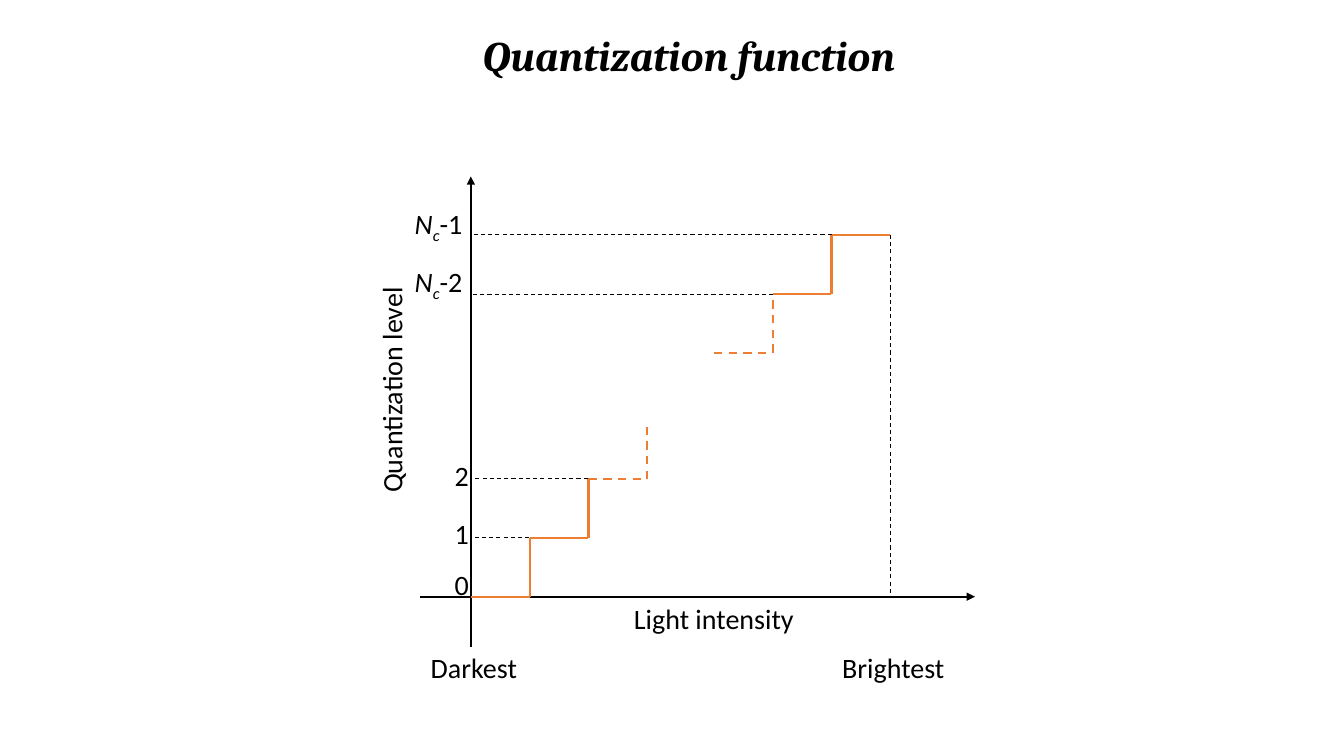
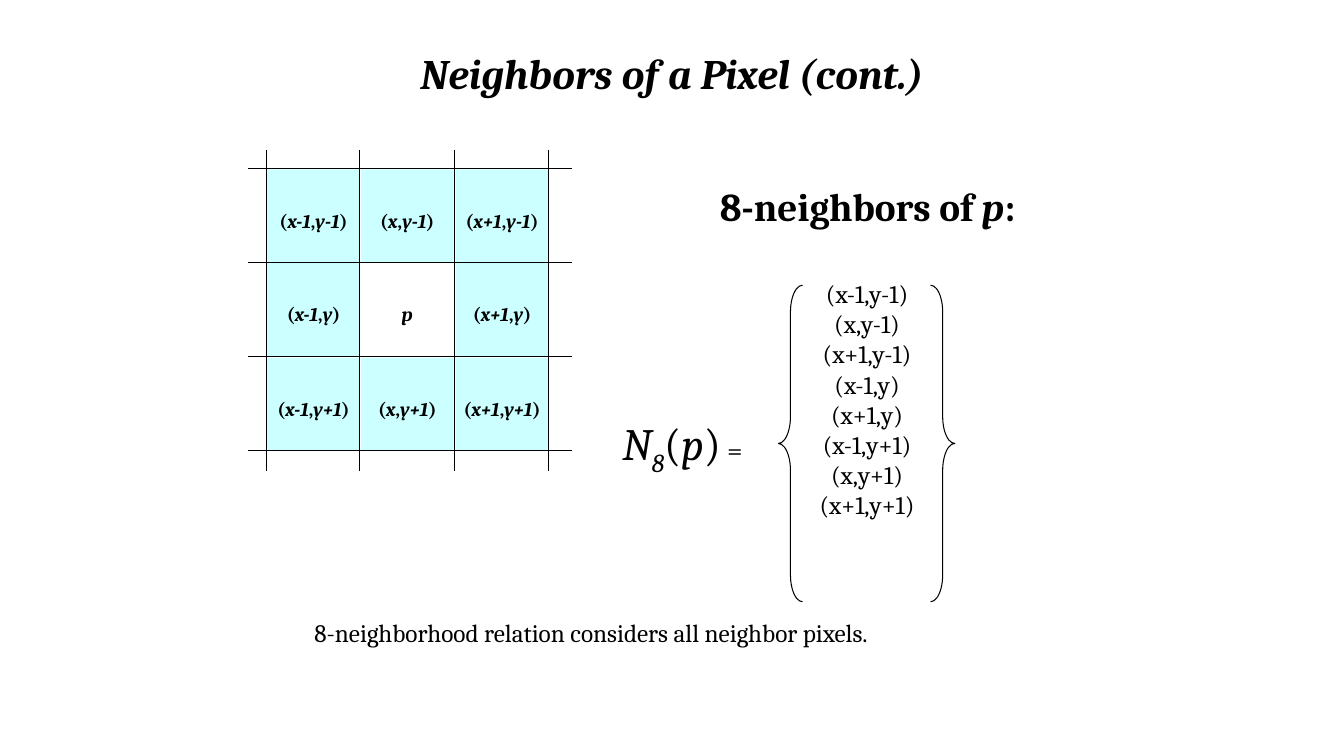
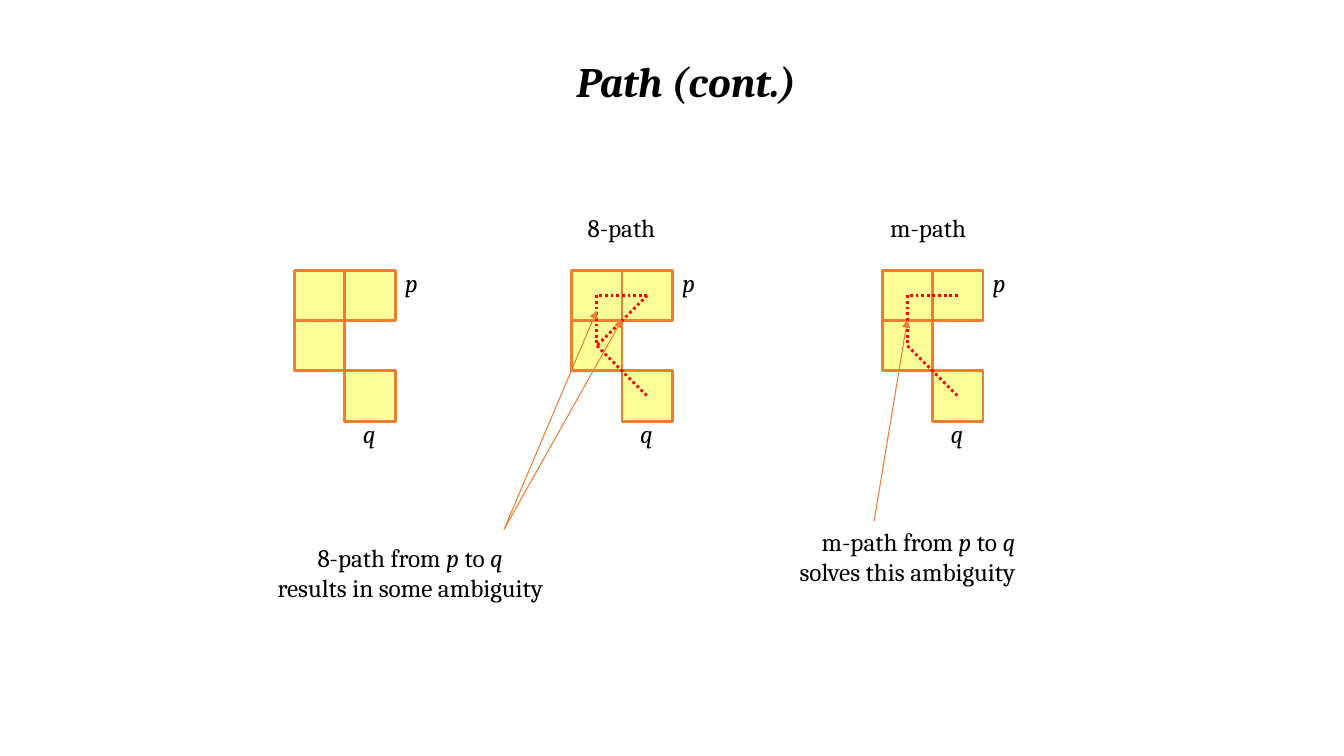
from itertools import pairwise, product

from pptx import Presentation
from pptx import util as u
from pptx.dml.color import RGBColor
from pptx.enum import dml, shapes, text
from pptx.oxml.ns import qn
from lxml import etree

PX = 9144  # one px is a hundredth of an inch
BLACK = RGBColor(0x00, 0x00, 0x00)
ORANGE = RGBColor(0xED, 0x7D, 0x31)
RED = RGBColor(0xFF, 0x00, 0x00)
CYAN = RGBColor(0xCC, 0xFF, 0xFF)
YELLOW = RGBColor(0xFF, 0xFF, 0x99)
LEFT, CENTER, RIGHT = text.PP_ALIGN.LEFT, text.PP_ALIGN.CENTER, text.PP_ALIGN.RIGHT
DASH, DOT = dml.MSO_LINE.DASH, dml.MSO_LINE.ROUND_DOT
RECT = shapes.MSO_SHAPE.RECTANGLE
BRACES = shapes.MSO_SHAPE.LEFT_BRACE, shapes.MSO_SHAPE.RIGHT_BRACE

# Content: text is marked *italic* and _subscript_; boxes are left, top, width, height
TITLES = [
    ("Quantization function", (469, 24, 436, 61)),
    ("Neighbors of a Pixel (cont.)", (407, 42, 528, 61)),
    ("Path (cont.)", (562, 50, 243, 61)),
]

AXES = [((417, 592), (967, 592)), ((467, 642), (467, 175))]
STEP = 175 / 3
STAIRS = [  # start corner, dash of each run and rise in turn
    ((467, 592), [None] * 4 + [DASH] * 2),
    ((708, 350), [DASH] * 2 + [None] * 3),
]
GUIDES = [
    ((825, 233), (467, 233)), ((767, 292), (467, 292)),
    ((583, 475), (467, 475)), ((525, 533), (467, 533)),
    ((883, 233), (883, 592)),
]
PLOT_LABELS = [
    ("Light intensity", (617, 592, 182, 43), 0),
    ("Quantization level", (275, 365, 227, 44), 270),
    ("0", (441, 558, 34, 44), 0),
    ("1", (441, 508, 34, 44), 0),
    ("2", (441, 450, 34, 44), 0),
    ("*N_c_*-1", (400, 200, 70, 43), 0),
    ("*N_c_*-2", (400, 257, 70, 43), 0),
    ("Darkest", (417, 640, 106, 43), 0),
    ("Brightest", (825, 640, 122, 43), 0),
]

GRID_LEFT, GRID_TOP, GRID_SIZE, CELL = 264, 167, 280, 92
LABEL_WIDTH = 112
OFFSETS = (-1, 0, 1)

TILE = 50
TILES = [(0, 0), (1, 0), (0, 1), (1, 2)]
ROUTE = [(1, 0), (0, 0), (0, 1), (1, 2)]
SHORTCUT = [(1, 0), (0, 1)]
FIGURES = [(292, []), (567, [ROUTE, SHORTCUT]), (875, [ROUTE])]
FIGURE_TOP = 268
PATH_LABELS = [
    (["8-path"], (573, 206, 91, 40), LEFT),
    (["m-path"], (873, 206, 98, 40), LEFT),
    (["8-path from *p* to *q*", "results in some ambiguity"], (257, 533, 300, 71), CENTER),
    (["m-path from *p* to *q*", "solves this ambiguity"], (767, 517, 250, 71), RIGHT),
]
POINTERS = [((500, 525), (617, 317)), ((500, 525), (592, 308)), ((867, 517), (900, 317))]


def emu(values):
    return [round(v * PX) for v in values]


def add_text(s, paragraphs, box, size=18, font="Cambria", align=LEFT, bold=False, italic=False):
    sp = s.shapes.add_textbox(*emu(box))
    tf = sp.text_frame
    tf.word_wrap = False
    tf.auto_size = text.MSO_AUTO_SIZE.SHAPE_TO_FIT_TEXT
    for n, line in enumerate(paragraphs):
        p = tf.paragraphs[0] if n == 0 else tf.add_paragraph()
        p.alignment = align
        for i, part in enumerate(line.split("*")):
            for j, piece in enumerate(part.split("_")):
                if not piece:
                    continue
                r = p.add_run()
                r.text = piece
                style = {"name": font, "size": u.Pt(size), "bold": bold,
                         "italic": italic or i % 2 == 1}
                for key, value in style.items():
                    setattr(r.font, key, value)
                r.font.color.rgb = BLACK
                if j % 2:
                    r.font._element.set("baseline", "-25000")
    return sp


def add_line(s, start, end, color=BLACK, width=0.75, dash=None, arrow=False):
    line = s.shapes.add_connector(shapes.MSO_CONNECTOR.STRAIGHT, *emu(start + end))
    line.line.color.rgb = color
    line.line.width = u.Pt(width)
    if dash:
        line.line.dash_style = dash
    if arrow:
        etree.SubElement(line.line._get_or_add_ln(), qn("a:tailEnd"), type="triangle")
    etree.SubElement(line._element.spPr, qn("a:effectLst"))


def add_shape(s, kind, box, fill=None, line=None, width=0.75):
    sp = s.shapes.add_shape(kind, *emu(box))
    sp.shadow.inherit = False
    for part, color in ((sp.fill, fill), (sp.line.fill, line)):
        if color is None:
            part.background()
        else:
            part.solid()
            part.fore_color.rgb = color
    if line is not None:
        sp.line.width = u.Pt(width)
    return sp


def quantization(s):
    for start, end in AXES:
        add_line(s, start, end, width=1.5, arrow=True)
    for (x, y), dashes in STAIRS:
        for n, dash in enumerate(dashes):
            end = (x + STEP, y) if n % 2 == 0 else (x, y - STEP)
            add_line(s, (x, y), end, ORANGE, 1.5, dash)
            x, y = end
    for label, box, turn in PLOT_LABELS:
        add_text(s, [label], box, 20, "Calibri", CENTER).rotation = turn
    for start, end in GUIDES:
        add_line(s, start, end, dash=DASH)


def neighbors(s):
    def coordinate(axis, offset):
        return f"{axis}{offset:+d}" if offset else axis

    # Pixel grid
    plain = []
    ticks = [round(GRID_SIZE * n / 3) for n in range(4)]
    for (row, dy), (col, dx) in product(enumerate(OFFSETS), repeat=2):
        left, top = GRID_LEFT + ticks[col] + 1, GRID_TOP + ticks[row] + 1
        label = "*p*"
        if dx or dy:
            x, y = coordinate("x", dx), coordinate("y", dy)
            plain.append(f"({x},{y})")
            label = f"(*{x}*,*{y}*)"
            add_shape(s, RECT, (left, top, CELL, CELL), CYAN)
        box = (left + (CELL - LABEL_WIDTH) / 2, top + 34, LABEL_WIDTH, 34)
        add_text(s, [label], box, 14, align=CENTER, bold=True)
    for tick in ticks:
        x, y = GRID_LEFT + tick, GRID_TOP + tick
        add_line(s, (x, 149), (x, 467))
        add_line(s, (246, y), (567, y))

    # Neighbor set
    add_text(s, ["8-neighbors of *p*:"], (698, 176, 325, 57), 28, align=CENTER, bold=True)
    add_text(s, plain, (797, 271, 126, 252), align=CENTER)
    formula = add_text(s, ["*N_8_*(*p*)* =*"], (601, 408, 152, 64), 32, align=CENTER)
    equals = formula.text_frame.paragraphs[0].runs[-1].font
    equals.size, equals.italic = u.Pt(20), False
    for kind, left in zip(BRACES, (772, 923)):
        add_shape(s, kind, (left, 283, 24, 314), line=BLACK).adjustments[0] = 1.11
    add_text(s, ["8-neighborhood relation considers all neighbor pixels."], (302, 608, 603, 40))


def paths(s):
    def center(left, tile):
        return left + (tile[0] + 0.5) * TILE, FIGURE_TOP + (tile[1] + 0.5) * TILE

    for left, routes in FIGURES:
        for col, row in TILES:
            box = (left + col * TILE, FIGURE_TOP + row * TILE, TILE, TILE)
            add_shape(s, RECT, box, YELLOW, ORANGE, 2)
        add_text(s, ["*p*"], (left + 100, 260, 34, 40))
        add_text(s, ["*q*"], (left + 58, 410, 33, 40))
        for route in routes:
            for a, b in pairwise(route):
                add_line(s, center(left, a), center(left, b), RED, 2, DOT)
    for lines, box, align in PATH_LABELS:
        add_text(s, lines, box, align=align)
    for start, end in POINTERS:
        add_line(s, start, end, ORANGE, arrow=True)


def main():
    prs = Presentation()
    prs.slide_width, prs.slide_height = emu((1333, 750))
    for (title, box), draw in zip(TITLES, (quantization, neighbors, paths)):
        s = prs.slides.add_slide(prs.slide_layouts[6])
        add_text(s, [title], box, 30, bold=True, italic=True)
        draw(s)
    prs.save("out.pptx")


if __name__ == "__main__":
    main()
